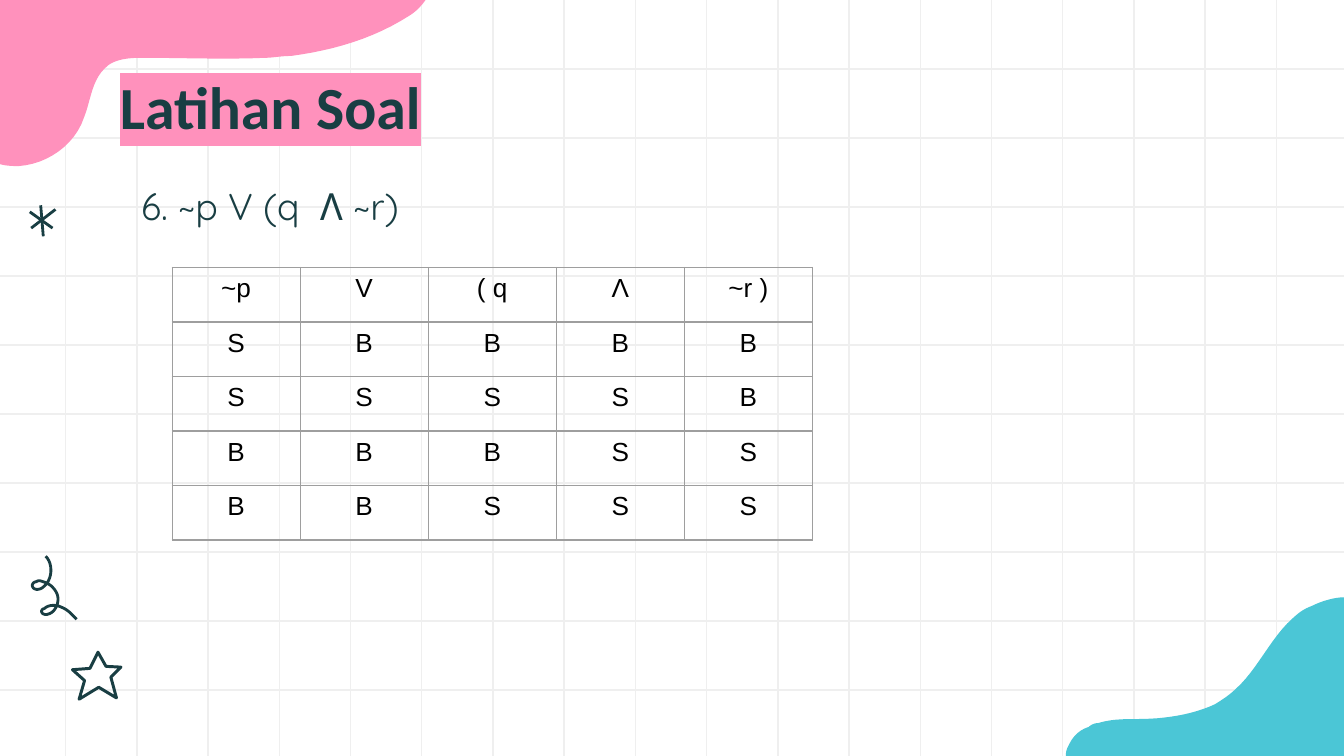
from lxml import etree
from pptx import Presentation
from pptx.dml.color import RGBColor
from pptx.enum.shapes import MSO_CONNECTOR
from pptx.enum.text import MSO_ANCHOR, PP_ALIGN
from pptx.oxml.ns import qn
from pptx.util import Pt

STRAIGHT = MSO_CONNECTOR.STRAIGHT
MIDDLE, TOP = MSO_ANCHOR.MIDDLE, MSO_ANCHOR.TOP
LEFT, CENTER = PP_ALIGN.LEFT, PP_ALIGN.CENTER

INK = RGBColor(0x19, 0x3E, 0x43)
PINK = RGBColor(0xFF, 0x91, 0xBC)
TEAL = RGBColor(0x4B, 0xC6, 0xD6)
GRID = RGBColor(0xEF, 0xEF, 0xEF)
BORDER = RGBColor(0x9E, 0x9E, 0x9E)
BLACK = RGBColor(0, 0, 0)

WIDTH, HEIGHT = 720, 405
CURVE_STEPS = 12

PINK_EDGE = [
    (228, 0), (226, 3), (223, 6), (220, 8), (200, 21), (178, 27), (156, 30),
    (151, 30), (146, 31), (142, 31), (120, 32), (99, 31), (76, 31),
    (68, 31), (62, 32), (58, 35), (49, 42), (49, 53), (45, 63),
    (40, 78), (25, 88), (10, 89), (7, 89), (4, 89), (0, 88),
]
TEAL_EDGE = [
    (149, 1), (144, 1), (137, 3), (131.7, 5.7), (128, 7), (125, 9), (121.6, 12.2),
    (109.4, 23), (102.9, 39.6), (90.7, 50.4), (87.8, 53.2), (83.5, 56.1), (79.9, 58.3),
    (67.6, 64), (52.5, 66.2), (38.8, 66.2), (31.6, 66.2), (24.4, 66.2), (17.2, 68.4),
    (15.8, 68.4), (13.7, 69), (12.2, 70.5), (7.2, 72), (3.6, 75.6), (1.4, 80.6),
    (0.5, 82), (0, 84), (0, 86),
]
SWIRL = [
    (7.2, 0), (11.5, 4.3), (10.8, 13), (5.8, 16.6), (4.3, 18), (0.7, 18.7), (0, 15.8),
    (0, 15.1), (0.7, 13.7), (2.2, 13.7), (2.9, 13), (4.3, 13), (5.8, 13.7),
    (9.4, 14.4), (13, 18), (13.7, 21.6), (14.4, 25.2), (12.2, 30.2), (8.6, 31),
    (7.2, 31.7), (5, 31), (5, 29.5), (5, 28.8), (5.8, 28.1), (6.5, 28.1),
    (8.6, 25.9), (13, 25.9), (15.8, 27.4), (19.4, 28.8), (21.6, 31.7), (23.8, 33.8),
]
ASTERISK = [[(0, 3.5), (12.2, 12.2)], [(0.7, 12.2), (13.7, 2.2)], [(5.8, 0), (7.2, 16.6)]]
STAR = [
    (27.4, 9.4), (22, 14.8), (25, 25.9), (15.5, 20.2), (5, 26.6),
    (7.9, 16.6), (1.4, 10.8), (10.8, 10.1), (15.1, 1.4), (19.4, 9),
]
TRUTH_ROWS = [
    ["~p", "V", "( q", "Λ", "~r )"],
    ["S", "B", "B", "B", "B"],
    ["S", "S", "S", "S", "B"],
    ["B", "B", "B", "S", "S"],
    ["B", "B", "S", "S", "S"],
]


def curve(points):
    """Return points along the chained cubic curves through the given points."""
    result = [points[0]]
    for i in range(0, len(points) - 1, 3):
        for step in range(1, CURVE_STEPS + 1):
            t = step / CURVE_STEPS
            weights = ((1 - t) ** 3, 3 * t * (1 - t) ** 2, 3 * t * t * (1 - t), t ** 3)
            result.append(tuple(
                sum(w * p[axis] for w, p in zip(weights, points[i:i + 4])) for axis in (0, 1)
            ))
    return result


def add_outline(slide, left, top, points, fill=None, weight=None, close=True):
    """Draw an outline relative to its box, either filled or stroked in ink."""
    placed = [(Pt(left + x), Pt(top + y)) for x, y in points]
    builder = slide.shapes.build_freeform(*placed[0])
    builder.add_line_segments(placed[1:], close=close)
    outline = builder.convert_to_shape()
    outline.shadow.inherit = False
    if fill is None:
        outline.fill.background()
        outline.line.color.rgb = INK
        outline.line.width = Pt(weight)
    else:
        outline.fill.solid()
        outline.fill.fore_color.rgb = fill
        outline.line.fill.background()


def add_grid(slide, width, height):
    """Rule the page with evenly spaced lines."""
    columns = [35.2 + 38.15 * i for i in range(18)]
    rows = [36.97 * i for i in range(1, 11)]
    ends = [(x, 0, x, height) for x in columns] + [(0, y, width, y) for y in rows]
    for end in ends:
        rule = slide.shapes.add_connector(STRAIGHT, *map(Pt, end))
        rule.line.color.rgb = GRID
        rule.line.width = Pt(0.75)
        etree.SubElement(rule.element.spPr, qn("a:effectLst"))


def add_decorations(slide):
    """Place the corner blobs and the hand-drawn doodles."""
    add_outline(slide, 0, 0, curve(PINK_EDGE) + [(0, 0)], fill=PINK)
    add_outline(slide, 571, 319, curve(TEAL_EDGE) + [(149, 86)], fill=TEAL)
    for stroke in ASTERISK:
        add_outline(slide, 16, 110, stroke, weight=1.5, close=False)
    add_outline(slide, 17.3, 298, curve(SWIRL), weight=1.5, close=False)
    add_outline(slide, 37.4, 348, STAR, weight=1.6)


def write(frame, text, font_name, size, color, align, bold=False):
    """Write one formatted paragraph and return it."""
    paragraph = frame.paragraphs[0]
    paragraph.text = text
    paragraph.alignment = align
    font = paragraph.font
    font.name, font.size, font.bold = font_name, Pt(size), bold
    font.color.rgb = color
    return paragraph


def set_frame(frame, anchor, left_margin):
    """Set wrapping, anchor and margins of a text frame."""
    frame.word_wrap = True
    frame.vertical_anchor = anchor
    frame.margin_left = Pt(left_margin)
    frame.margin_right = frame.margin_top = frame.margin_bottom = Pt(7.2)


def add_heading(slide, left, top, width, height):
    """Place the highlighted title and the formula below it."""
    title = slide.shapes.title
    title.element.getparent().append(title.element)
    title.left, title.top, title.width, title.height = map(Pt, (left, top, width, height))
    set_frame(title.text_frame, MIDDLE, 7.2)
    heading = write(title.text_frame, "Latihan Soal", "Calibri", 32, INK, LEFT, bold=True)
    properties = heading.runs[0].font._element
    highlight = etree.SubElement(properties, qn("a:highlight"))
    etree.SubElement(highlight, qn("a:srgbClr"), val=str(PINK))

    formula = slide.shapes.add_textbox(Pt(left + 0.6), Pt(top + 49), Pt(width), Pt(31.7))
    set_frame(formula.text_frame, TOP, 18)
    write(formula.text_frame, "6. ~p V (q  Λ ~r)", "Quicksand", 20, INK, LEFT)


def set_borders(cell):
    """Give a cell thin grey borders on all sides."""
    properties = cell._tc.get_or_add_tcPr()
    for i, side in enumerate(("lnL", "lnR", "lnT", "lnB")):
        border = etree.Element(qn("a:" + side), w=str(Pt(0.75)))
        fill = etree.SubElement(border, qn("a:solidFill"))
        etree.SubElement(fill, qn("a:srgbClr"), val=str(BORDER))
        properties.insert(i, border)


def add_truth_table(slide, left, top, width, height):
    """Place the truth table with equal rows and columns."""
    row_count, column_count = len(TRUTH_ROWS), len(TRUTH_ROWS[0])
    table = slide.shapes.add_table(
        row_count, column_count, Pt(left), Pt(top), Pt(width), Pt(height)
    ).table
    table.first_row = table.horz_banding = False
    for r, values in enumerate(TRUTH_ROWS):
        for c, value in enumerate(values):
            cell = table.cell(r, c)
            cell.fill.background()
            set_borders(cell)
            write(cell.text_frame, value, "Arial", 14, BLACK, CENTER)


def main():
    """Build and save the exercise slide."""
    deck = Presentation()
    deck.slide_width, deck.slide_height = Pt(WIDTH), Pt(HEIGHT)
    slide = deck.slides.add_slide(deck.slide_layouts[5])
    add_grid(slide, WIDTH, HEIGHT)
    add_decorations(slide)
    add_heading(slide, 57, 41.8, 607, 29.5)
    add_truth_table(slide, 92.2, 143.3, 343, 146)
    deck.save("out.pptx")


main()
